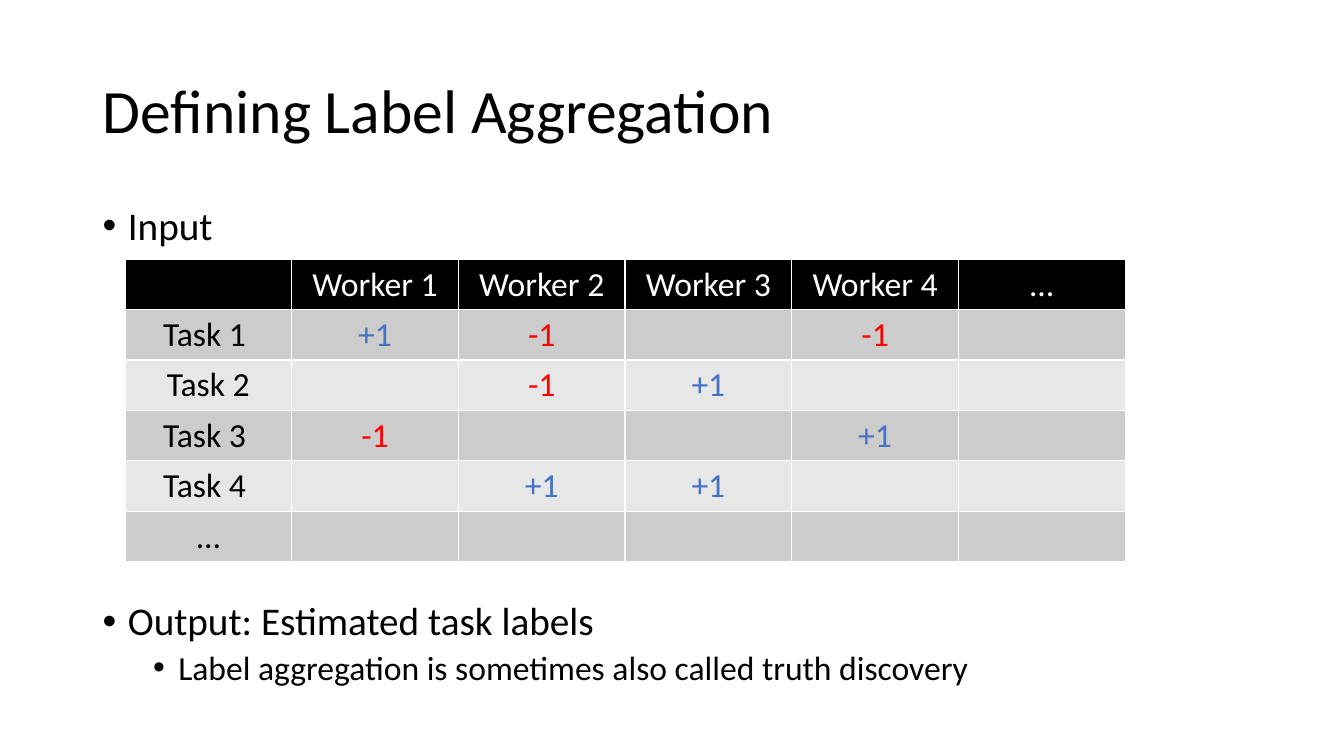
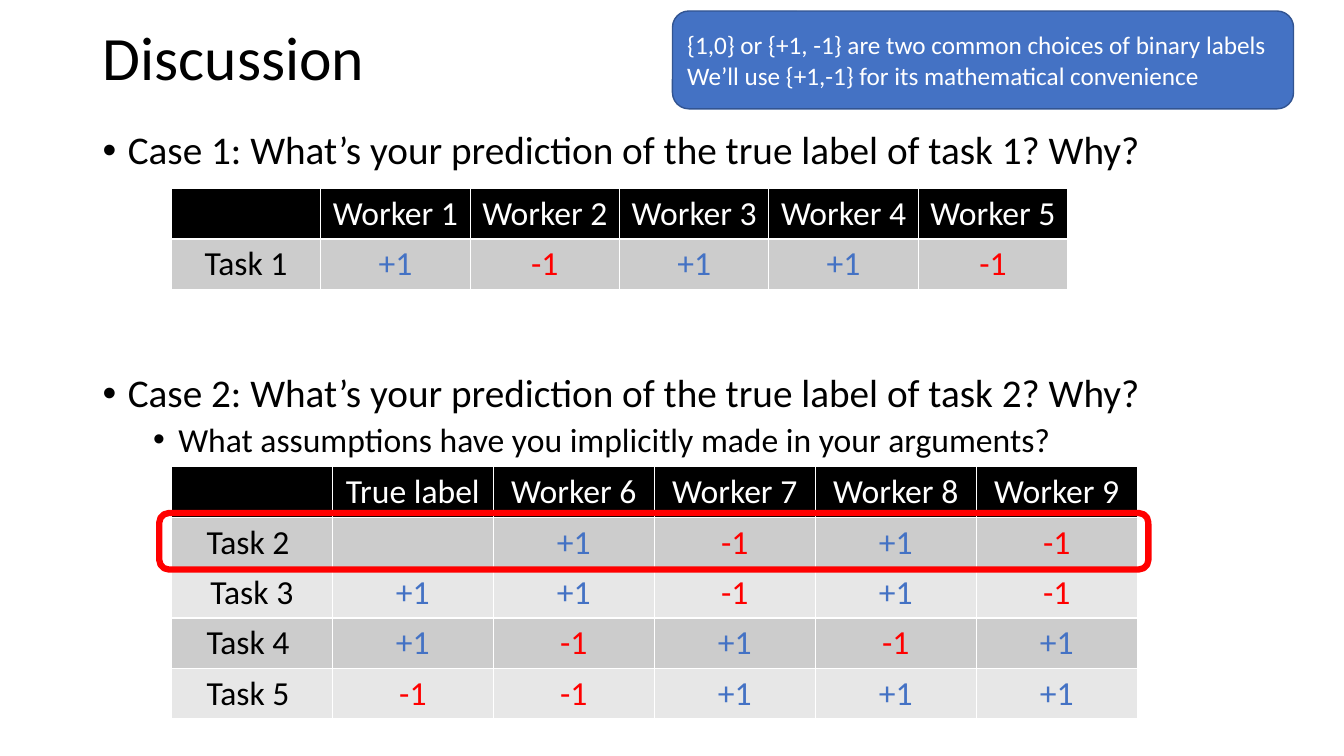
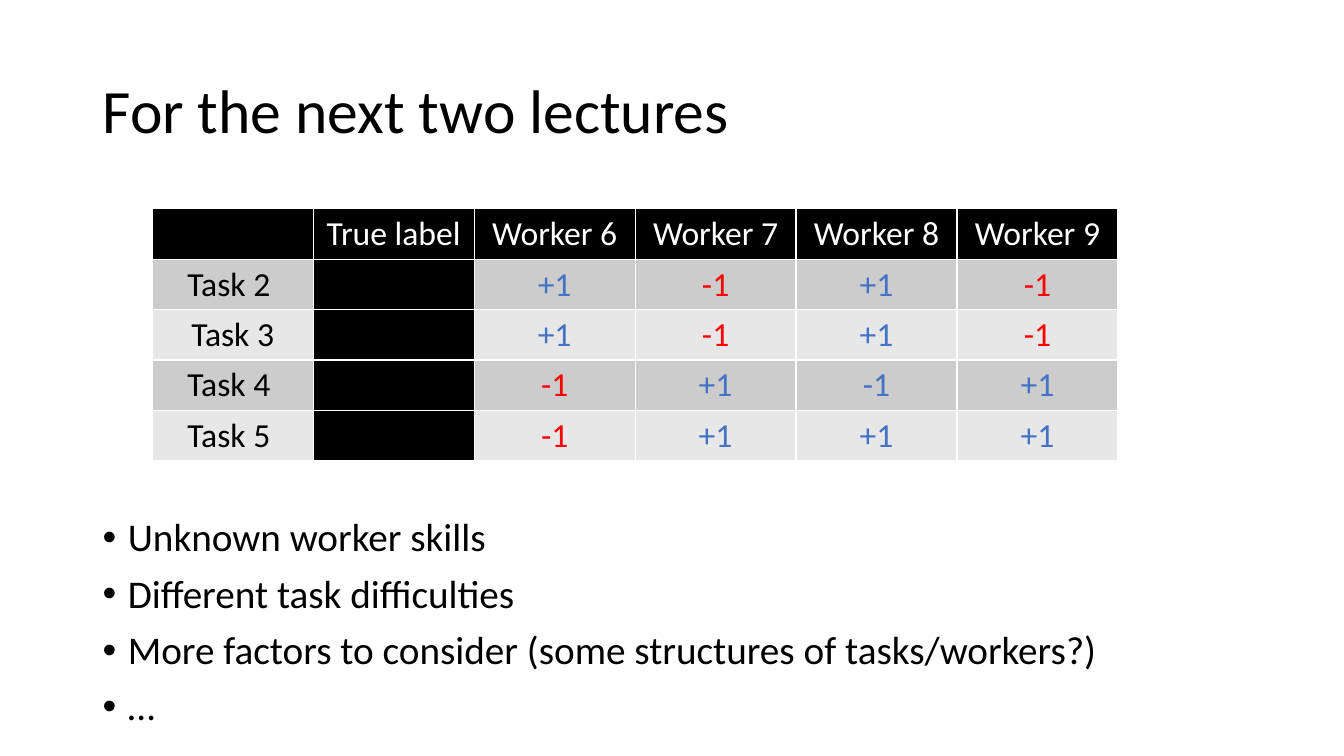
"""Build three slides on aggregating binary labels from workers."""
from dataclasses import dataclass
from typing import Optional

from lxml import etree
from pptx import Presentation
from pptx import util as u
from pptx.dml.color import RGBColor
from pptx.enum import shapes, text
from pptx.oxml import ns
from pptx.util import Inches


@dataclass(frozen=True)
class Theme:
    font: str = "Calibri"
    black: str = "000000"
    white: str = "FFFFFF"
    blue: str = "4472C4"
    blue_edge: str = "325491"
    red: str = "FF0000"
    bands: tuple[str, str] = ("CCCCCC", "E7E7E7")
    title_size: int = 44
    bullet_sizes: tuple[int, int] = (28, 24)
    bullet_gaps: tuple[int, int] = (10, 5)
    table_size: int = 24
    callout_size: int = 18
    line_spacing: float = 0.9
    left: float = 0.92
    width: float = 11.5
    row_height: float = 0.5


@dataclass(frozen=True)
class Box:
    left: float
    top: float
    width: float
    height: float

    def lengths(self) -> tuple[int, int, int, int]:
        return Inches(self.left), Inches(self.top), Inches(self.width), Inches(self.height)


@dataclass(frozen=True)
class Bullet:
    words: str
    level: int = 0


@dataclass(frozen=True)
class LabelTable:
    left: float
    top: float
    width: float
    rows: tuple[tuple[str, ...], ...]
    hidden_column: Optional[int] = None
    blue_cells: tuple[tuple[int, int], ...] = ()


THEME = Theme()

INPUT_ROWS = (
    ("", "Worker 1", "Worker 2", "Worker 3", "Worker 4", "…"),
    ("Task 1 ", "+1", "-1", "", "-1", ""),
    ("Task 2", "", "-1", "+1", "", ""),
    ("Task 3 ", "-1", "", "", "+1", ""),
    ("Task 4 ", "", "+1", "+1", "", ""),
    ("…", "", "", "", "", ""),
)
CASE_1_ROWS = (
    ("", "Worker 1", "Worker 2", "Worker 3", "Worker 4", "Worker 5"),
    ("Task 1", "+1", "-1", "+1", "+1", "-1"),
)
CASE_2_ROWS = (
    ("", "True label", "Worker 6", "Worker 7", "Worker 8", "Worker 9"),
    ("Task 2 ", "", "+1", "-1", "+1", "-1"),
    ("Task 3", "+1", "+1", "-1", "+1", "-1"),
    ("Task 4 ", "+1", "-1", "+1", "-1", "+1"),
    ("Task 5 ", "-1", "-1", "+1", "+1", "+1"),
)
UNLABELLED_ROWS = CASE_2_ROWS[:1] + tuple((row[0], "", *row[2:]) for row in CASE_2_ROWS[1:])


def set_font(paragraph, size: int, color: str) -> None:
    font = paragraph.font
    font.name = THEME.font
    font.size = u.Pt(size)
    font.bold = False
    font.color.rgb = RGBColor.from_string(color)


def add_text_frame(slide, box: Box):
    frame = slide.shapes.add_textbox(*box.lengths()).text_frame
    frame.word_wrap = True
    return frame


def add_title(slide, title: str, top: float = 0.4, height: float = 1.45) -> None:
    frame = add_text_frame(slide, Box(THEME.left, top, THEME.width, height))
    frame.vertical_anchor = text.MSO_ANCHOR.MIDDLE
    paragraph = frame.paragraphs[0]
    paragraph.text = title
    paragraph.line_spacing = THEME.line_spacing
    set_font(paragraph, THEME.title_size, THEME.black)


def add_bullets(slide, top: float, height: float, *bullets: Bullet) -> None:
    frame = add_text_frame(slide, Box(THEME.left, top, THEME.width, height))
    for index, bullet in enumerate(bullets):
        paragraph = frame.add_paragraph() if index else frame.paragraphs[0]
        paragraph.text = bullet.words
        paragraph.level = bullet.level
        paragraph.line_spacing = THEME.line_spacing
        if index:
            paragraph.space_before = u.Pt(THEME.bullet_gaps[bullet.level])
        properties = paragraph._p.get_or_add_pPr()
        properties.set("marL", str(Inches(0.25 + 0.5 * bullet.level)))
        properties.set("indent", str(Inches(-0.25)))
        etree.SubElement(properties, ns.qn("a:buFont"), typeface="Arial")
        etree.SubElement(properties, ns.qn("a:buChar"), char="•")
        set_font(paragraph, THEME.bullet_sizes[bullet.level], THEME.black)


def add_label_table(slide, spec_table: LabelTable) -> None:
    rows = spec_table.rows
    columns = len(rows[0])
    box = Box(spec_table.left, spec_table.top, spec_table.width, THEME.row_height * len(rows))
    table = slide.shapes.add_table(len(rows), columns, *box.lengths()).table
    value_colors = {"+1": THEME.blue, "-1": THEME.red}
    for row_index, row in enumerate(rows):
        for column_index, value in enumerate(row):
            header = row_index == 0
            dark = header or column_index == spec_table.hidden_column
            fill = THEME.black if dark else THEME.bands[(row_index - 1) % 2]
            color = THEME.white if header else value_colors.get(value, THEME.black)
            if (row_index, column_index) in spec_table.blue_cells:
                color = THEME.blue
            cell = table.cell(row_index, column_index)
            cell.fill.solid()
            cell.fill.fore_color.rgb = RGBColor.from_string(fill)
            paragraph = cell.text_frame.paragraphs[0]
            paragraph.text = value
            paragraph.alignment = text.PP_ALIGN.CENTER
            set_font(paragraph, THEME.table_size, color)


def add_rounded_box(slide, box: Box, line: str, line_width: float, fill: Optional[str] = None):
    shape = slide.shapes.add_shape(shapes.MSO_SHAPE.ROUNDED_RECTANGLE, *box.lengths())
    shape.shadow.inherit = False
    shape.line.color.rgb = RGBColor.from_string(line)
    shape.line.width = u.Pt(line_width)
    if fill:
        shape.fill.solid()
        shape.fill.fore_color.rgb = RGBColor.from_string(fill)
    else:
        shape.fill.background()
    return shape


def add_callout(slide, box: Box, *lines: str) -> None:
    frame = add_rounded_box(slide, box, THEME.blue_edge, 1, THEME.blue).text_frame
    frame.word_wrap = True
    frame.vertical_anchor = text.MSO_ANCHOR.MIDDLE
    for index, line in enumerate(lines):
        paragraph = frame.add_paragraph() if index else frame.paragraphs[0]
        paragraph.text = line
        paragraph.alignment = text.PP_ALIGN.LEFT
        set_font(paragraph, THEME.callout_size, THEME.white)


def build_definition(slide) -> None:
    add_title(slide, "Defining Label Aggregation")
    add_bullets(slide, 2, 0.55, Bullet("Input"))
    add_bullets(
        slide, 5.92, 1.1,
        Bullet("Output: Estimated task labels"),
        Bullet("Label aggregation is sometimes also called truth discovery", 1),
    )
    add_label_table(slide, LabelTable(1.24, 2.57, 9.92, INPUT_ROWS))


def build_discussion(slide) -> None:
    add_title(slide, "Discussion", 0.14, 0.93)
    add_bullets(
        slide, 1.25, 0.55,
        Bullet("Case 1: What’s your prediction of the true label of task 1? Why?"),
    )
    add_bullets(
        slide, 3.66, 0.95,
        Bullet("Case 2: What’s your prediction of the true label of task 2? Why?"),
        Bullet("What assumptions have you implicitly made in your arguments?", 1),
    )
    add_label_table(slide, LabelTable(1.7, 1.87, 8.89, CASE_1_ROWS))
    add_label_table(slide, LabelTable(1.7, 4.63, 9.58, CASE_2_ROWS))
    add_callout(
        slide, Box(6.67, 0.11, 6.16, 0.97),
        "{1,0} or {+1, -1} are two common choices of binary labels",
        "We’ll use {+1,-1} for its mathematical convenience",
    )
    add_rounded_box(slide, Box(1.58, 5.09, 9.81, 0.56), THEME.red, 4.5)


def build_next_lectures(slide) -> None:
    add_title(slide, "For the next two lectures")
    add_bullets(
        slide, 5.09, 2.27,
        Bullet("Unknown worker skills"),
        Bullet("Different task difficulties"),
        Bullet("More factors to consider (some structures of tasks/workers?)"),
        Bullet("…"),
    )
    add_label_table(
        slide,
        LabelTable(1.51, 2.07, 9.58, UNLABELLED_ROWS, hidden_column=1, blue_cells=((3, 4),)),
    )


def main() -> None:
    presentation = Presentation()
    presentation.slide_width = Inches(13.33)
    presentation.slide_height = Inches(7.5)
    blank = presentation.slide_layouts[6]
    for build in (build_definition, build_discussion, build_next_lectures):
        build(presentation.slides.add_slide(blank))
    presentation.save("out.pptx")


if __name__ == "__main__":
    main()
